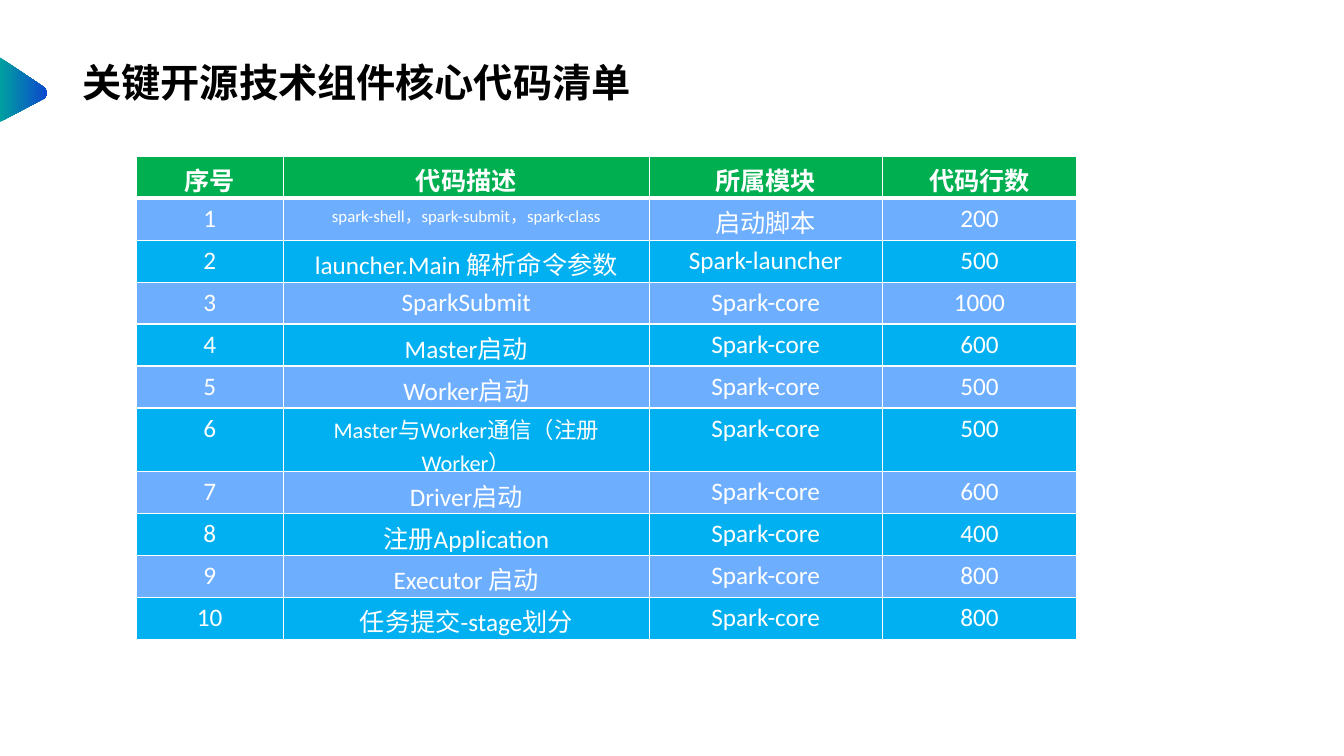
from lxml.etree import SubElement
from pptx import Presentation
from pptx.dml.color import RGBColor
from pptx.enum.text import PP_ALIGN
from pptx.oxml.ns import qn
from pptx.util import Inches, Pt

COLORS = {"black": "000000", "white": "FFFFFF", "header": "00B050",
          "odd": "6DAEFF", "even": "00B0F0", "teal": "00A0A0", "blue": "0D48CE"}
CJK = "Noto Sans CJK SC"
TITLE = {"name": CJK, "size": Pt(28), "bold": True}
HEADER = {"name": CJK, "size": Pt(18), "bold": True}
BODY = {"name": "Calibri", "size": Pt(18), "bold": False}

COLUMNS = {"序号": 10.95, "代码描述": 27.23, "所属模块": 17.33, "代码行数": 14.48}
COMPONENTS = [
    ("spark-shell，spark-submit，spark-class", "启动脚本", 200),
    ("launcher.Main 解析命令参数", "Spark-launcher", 500),
    ("SparkSubmit", "Spark-core", 1000),
    ("Master启动", "Spark-core", 600),
    ("Worker启动", "Spark-core", 500),
    ("Master与Worker通信（注册Worker）", "Spark-core", 500),
    ("Driver启动", "Spark-core", 600),
    ("注册Application", "Spark-core", 400),
    ("Executor 启动", "Spark-core", 800),
    ("任务提交-stage划分", "Spark-core", 800),
]
SMALL_SIZES = {(1, 1): Pt(12), (6, 1): Pt(16)}


def rgb(name):
    return RGBColor.from_string(COLORS[name])


def bezier(a, b, c, d, steps=12):
    for i in range(steps + 1):
        t = i / steps
        u = 1 - t
        yield tuple(u**3 * k + 3 * u * u * t * m + 3 * u * t * t * n + t**3 * q
                    for k, m, n, q in zip(a, b, c, d))


class Deck:
    def __init__(self):
        self.prs = Presentation()
        self.prs.slide_width, self.prs.slide_height = Inches(13.33), Inches(7.5)
        self.s = self.prs.slides.add_slide(self.prs.slide_layouts[6])

    def x(self, percent):
        return round(self.prs.slide_width * percent / 100)

    def y(self, percent):
        return round(self.prs.slide_height * percent / 100)

    def set_text(self, tf, text, style, color, align=PP_ALIGN.LEFT):
        p = tf.paragraphs[0]
        p.alignment = align
        r = p.add_run()
        r.text = text
        r.font.color.rgb = rgb(color)
        for key, value in style.items():
            setattr(r.font, key, value)
        SubElement(r._r.get_or_add_rPr(), qn("a:ea")).set("typeface", CJK)

    def text(self, left, top, width, height, text, style, color):
        sp = self.s.shapes.add_textbox(
            self.x(left), self.y(top), self.x(width), self.y(height))
        sp.text_frame.word_wrap = True
        self.set_text(sp.text_frame, text, style, color)

    def gradient_shape(self, points, start, end):
        (x0, y0), *rest = [(self.x(x), self.y(y)) for x, y in points]
        builder = self.s.shapes.build_freeform(x0, y0)
        builder.add_line_segments(rest, close=True)
        sp = builder.convert_to_shape()
        sp.shadow.inherit = False
        sp.line.fill.background()
        sp.fill.gradient()
        sp.fill.gradient_angle = 0
        for stop, color in zip(sp.fill.gradient_stops, (start, end)):
            stop.color.rgb = rgb(color)

    def border(self, cell, **widths):
        tc_pr = cell._tc.get_or_add_tcPr()
        for side in "LRTB":
            ln = SubElement(tc_pr, qn(f"a:ln{side}"), w=str(Pt(widths.get(side, 1))))
            fill = SubElement(ln, qn("a:solidFill"))
            SubElement(fill, qn("a:srgbClr"), val=COLORS["white"])

    def table(self, left, top, height, columns, rows):
        grid = [list(columns)] + [
            [i, *row] for i, row in enumerate(rows, 1)]
        table = self.s.shapes.add_table(
            len(grid), len(columns), self.x(left), self.y(top),
            self.x(sum(columns.values())), self.y(height)).table
        for column, width in zip(table.columns, columns.values()):
            column.width = self.x(width)
        for i, row in enumerate(grid):
            table.rows[i].height = self.y(height / len(grid))
            style = BODY if i else HEADER
            fill = ("even", "odd")[i % 2] if i else "header"
            edges = {0: {"B": 3}, 1: {"T": 3}}.get(i, {})
            for j, value in enumerate(row):
                cell = table.cell(i, j)
                self.border(cell, **edges)
                cell.fill.solid()
                cell.fill.fore_color.rgb = rgb(fill)
                size = SMALL_SIZES.get((i, j), style["size"])
                self.set_text(cell.text_frame, str(value), {**style, "size": size},
                              "white", PP_ALIGN.CENTER)


def main():
    deck = Deck()
    tip = bezier((3.23, 11.47), (3.6, 11.87), (3.6, 12.8), (3.23, 13.07))
    deck.gradient_shape([(0, 7.6), *tip, (0, 16.13)], "teal", "blue")
    deck.text(5.4, 7.07, 67.67, 7.6, "关键开源技术组件核心代码清单", TITLE, "black")
    deck.table(10.13, 20.67, 61.07, COLUMNS, COMPONENTS)
    deck.prs.save("out.pptx")


if __name__ == "__main__":
    main()
